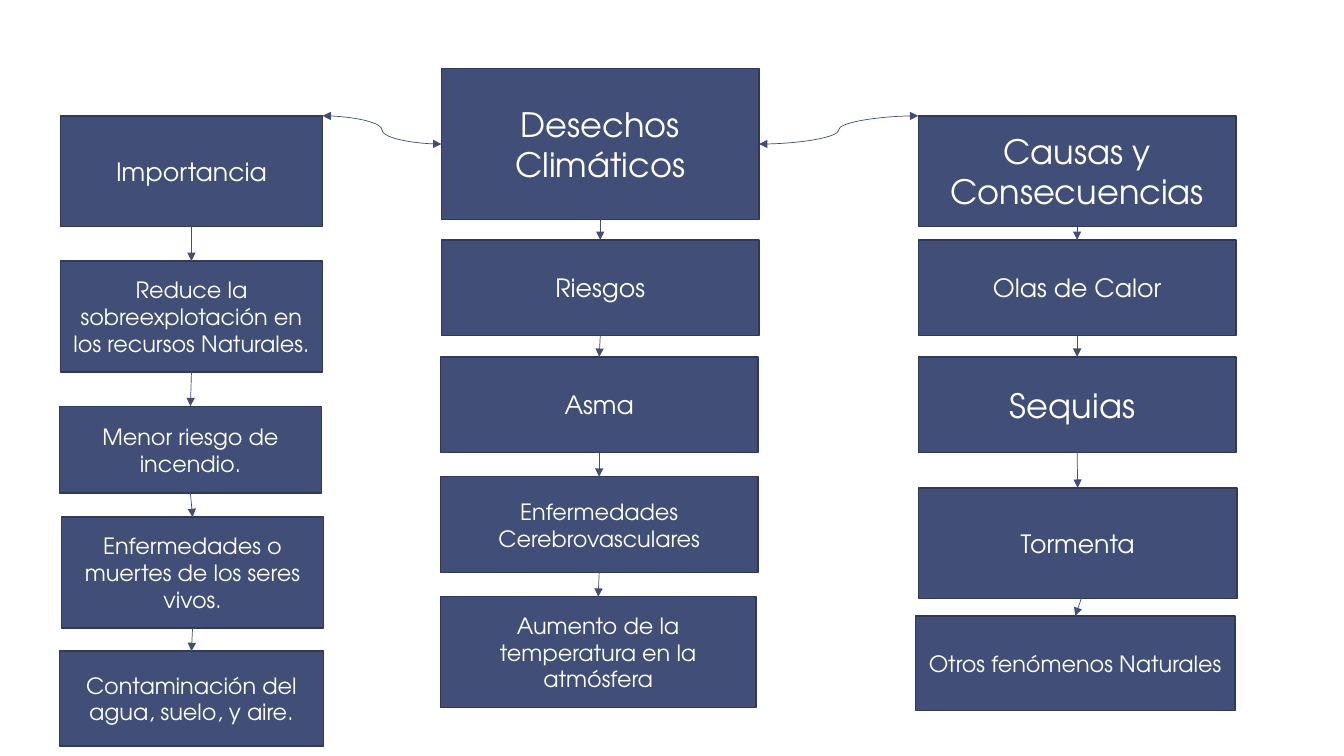
from dataclasses import dataclass
from itertools import pairwise
from typing import Any, NamedTuple, Optional

from lxml import etree
from pptx import Presentation, util as u
from pptx.dml.color import RGBColor
from pptx.enum import shapes, text
from pptx.oxml.ns import qn


@dataclass(frozen=True)
class Theme:
    font: str = "TeX Gyre Adventor"
    fill: RGBColor = RGBColor(0x41, 0x4E, 0x77)
    border: RGBColor = RGBColor(0x30, 0x3A, 0x58)
    ink: RGBColor = RGBColor(0xFF, 0xFF, 0xFF)
    head: u.Pt = u.Pt(24)
    item: u.Pt = u.Pt(18)
    detail: u.Pt = u.Pt(16)
    border_width: u.Pt = u.Pt(1)
    link_width: u.Pt = u.Pt(0.5)


class Point(NamedTuple):
    x: float
    y: float


class Box(NamedTuple):
    """A chart box; lengths are percent of the slide, shift and widen adjust the column."""
    words: str
    size: u.Pt
    top: float
    height: float
    shift: float = 0
    widen: float = 0
    exit: Optional[Point] = None


class Column(NamedTuple):
    left: float
    width: float
    boxes: list[Box]


THEME = Theme()
WIDTH, HEIGHT = u.Inches(13.33), u.Inches(7.5)
TALL, MEDIUM, LOW = 14.67, 12.67, 12.53
HEAD_TOP = 15.33

IMPORTANCE = Column(4.5, 19.5, [
    Box("Importancia", THEME.item, HEAD_TOP, TALL),
    Box("Reduce la sobreexplotación en los recursos Naturales. ", THEME.detail, 34.53, TALL),
    Box("Menor riesgo de incendio.", THEME.detail, 53.73, 11.5, shift=-0.08),
    Box("Enfermedades o muertes de los seres vivos.", THEME.detail, 68.4, TALL, shift=0.08),
    Box("Contaminación del agua, suelo, y aire.", THEME.detail, 86.13, LOW,
        shift=-0.08, widen=0.15),
])
RISKS = Column(32.85, 23.63, [
    Box("Desechos Climáticos", THEME.head, 9.07, 20),
    Box("Riesgos", THEME.item, 31.73, MEDIUM),
    Box("Asma", THEME.item, 47.2, MEDIUM, shift=-0.08),
    Box("Enfermedades Cerebrovasculares", THEME.detail, 63.07, MEDIUM, shift=-0.08),
    Box("Aumento de la temperatura en la atmósfera", THEME.detail, 78.93, TALL,
        shift=-0.08, widen=-0.15),
])
CAUSES = Column(68.33, 23.63, [
    Box("Causas y Consecuencias", THEME.head, HEAD_TOP, TALL),
    Box("Olas de Calor", THEME.item, 31.73, MEDIUM),
    Box("Sequias ", THEME.head, 47.2, MEDIUM),
    Box("Tormenta", THEME.item, 64.53, TALL, widen=0.08, exit=Point(80.55, 78.7)),
    Box("Otros fenómenos Naturales", THEME.detail, 81.47, LOW, shift=-0.22, widen=0.15),
])


def across(share: float) -> int:
    return round(WIDTH * share / 100)


def down(share: float) -> int:
    return round(HEIGHT * share / 100)


def apply(target: Any, values: dict[str, Any]) -> None:
    for name, value in values.items():
        setattr(target, name, value)


def draw_box(page: Any, column: Column, box: Box) -> Any:
    """Draw one box; the centre column's head is the slide title."""
    if box is RISKS.boxes[0]:
        shape = page.shapes.title
    else:
        shape = page.shapes.add_shape(shapes.MSO_SHAPE.RECTANGLE, 0, 0, 0, 0)
        shape.shadow.inherit = False
    apply(shape, {"left": across(column.left + box.shift), "top": down(box.top),
                  "width": across(column.width + box.widen), "height": down(box.height)})
    shape.fill.solid()
    shape.fill.fore_color.rgb = THEME.fill
    shape.line.color.rgb = THEME.border
    shape.line.width = THEME.border_width
    frame = shape.text_frame
    apply(frame, {"word_wrap": True, "auto_size": text.MSO_AUTO_SIZE.NONE,
                  "vertical_anchor": text.MSO_ANCHOR.MIDDLE})
    para = frame.paragraphs[0]
    para.alignment = text.PP_ALIGN.CENTER
    span = para.add_run()
    span.text = box.words
    apply(span.font, {"name": THEME.font, "size": box.size})
    span.font.color.rgb = THEME.ink
    return shape


def add_link(page: Any, kind: Any, begin: Point, end: Point, ends: list[str]) -> Any:
    link = page.shapes.add_connector(kind, *begin, *end)
    link.line.color.rgb = THEME.fill
    link.line.width = THEME.link_width
    line = link.line._get_or_add_ln()
    for name in ends:
        etree.SubElement(line, qn(name), type="triangle")
    etree.SubElement(link._element.spPr, qn("a:effectLst"))
    return link


def draw_column(page: Any, column: Column) -> list[Any]:
    drawn = [draw_box(page, column, box) for box in column.boxes]
    for box, (upper, lower) in zip(column.boxes, pairwise(drawn)):
        start = Point(0, 0)
        if box.exit:
            start = Point(across(box.exit.x), down(box.exit.y))
        link = add_link(page, shapes.MSO_CONNECTOR.STRAIGHT, start, Point(0, 0), ["a:tailEnd"])
        if not box.exit:
            link.begin_connect(upper, 2)
        link.end_connect(lower, 0)
    return drawn


def main() -> None:
    deck = Presentation()
    apply(deck, {"slide_width": WIDTH, "slide_height": HEIGHT})
    page = deck.slides.add_slide(deck.slide_layouts[5])
    importance, title, causes = (
        draw_column(page, column)[0] for column in (IMPORTANCE, RISKS, CAUSES))
    middle = title.top + title.height // 2
    for begin_x, end_x in ((title.left, importance.left + importance.width),
                           (title.left + title.width, causes.left)):
        add_link(page, shapes.MSO_CONNECTOR.CURVE, Point(begin_x, middle),
                 Point(end_x, down(HEAD_TOP)), ["a:headEnd", "a:tailEnd"])
    deck.save("out.pptx")


if __name__ == "__main__":
    main()
